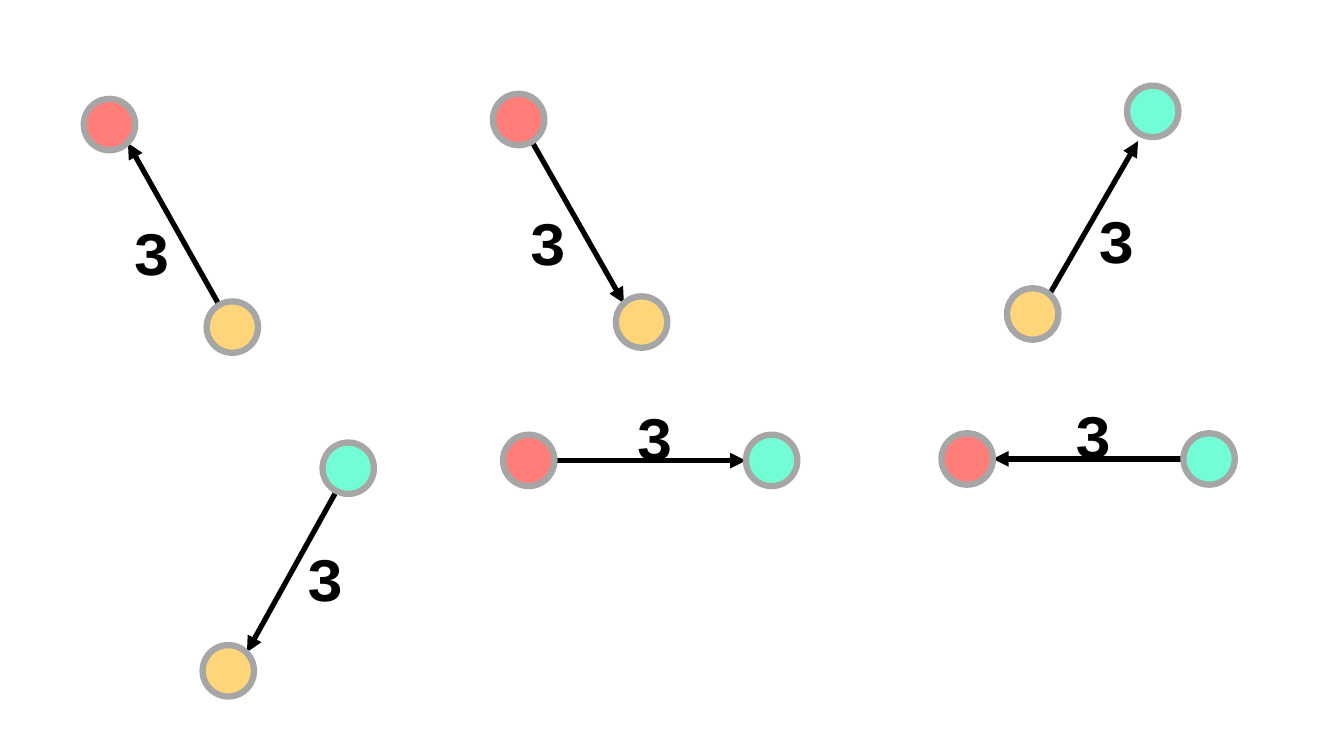
from pptx import Presentation
from pptx.dml.color import RGBColor
from pptx.enum.shapes import MSO_CONNECTOR, MSO_SHAPE
from pptx.enum.text import MSO_AUTO_SIZE
from pptx.oxml.ns import qn
from pptx.util import Pt
from lxml.etree import SubElement

COLORS = {
    "red": "FF7E79",
    "yellow": "FFD579",
    "green": "73FDD6",
    "outline": "A6A6A6",
    "ink": "000000",
}
NODE_SIZE = 36.7

# Each edge: source node, target node, arrow start, arrow end, label corner
EDGES = [
    (("yellow", 147.6, 215.3), ("red", 59.8, 70.6), (165.6, 234), (91.4, 102.2), (87.8, 149)),
    (("red", 352.1, 67), ("yellow", 439.9, 211.7), (370.8, 85), (445.7, 216.7), (370.8, 141.8)),
    (("yellow", 719.3, 205.9), ("green", 805, 61.2), (740.9, 225.4), (812.9, 100.8), (776.9, 140.4)),
    (("green", 230.4, 316.1), ("yellow", 144.7, 460.8), (248.4, 336.2), (176.4, 465.8), (211.7, 382.3)),
    (("red", 359.3, 310.5), ("green", 532.8, 310.5), (396.7, 329), (532.8, 329), (447.1, 281.5)),
    (("green", 845.3, 309.5), ("red", 672.5, 309.5), (864, 327.8), (709.2, 327.8), (760.3, 280.1)),
]


def color(name):
    return RGBColor.from_string(COLORS[name])


def add_arrow(slide, start, end):
    points = [Pt(value) for value in (*start, *end)]
    arrow = slide.shapes.add_connector(MSO_CONNECTOR.STRAIGHT, *points)
    arrow.line.color.rgb = color("ink")
    arrow.line.width = Pt(3.75)
    SubElement(arrow.line._get_or_add_ln(), qn("a:tailEnd"), type="triangle")
    SubElement(arrow._element.spPr, qn("a:effectLst"))


def add_node(group, fill, left, top):
    node = group.shapes.add_shape(
        MSO_SHAPE.OVAL, Pt(left), Pt(top), Pt(NODE_SIZE), Pt(NODE_SIZE))
    node.shadow.inherit = False
    node.fill.solid()
    node.fill.fore_color.rgb = color(fill)
    node.line.color.rgb = color("outline")
    node.line.width = Pt(4.5)


def add_label(slide, text, left, top):
    label = slide.shapes.add_textbox(Pt(left), Pt(top), Pt(62), Pt(60.5))
    frame = label.text_frame
    frame.word_wrap = True
    frame.auto_size = MSO_AUTO_SIZE.SHAPE_TO_FIT_TEXT
    paragraph = frame.paragraphs[0]
    paragraph.text = text
    paragraph.font.name = "Courier New"
    paragraph.font.size = Pt(44)
    paragraph.font.bold = True
    paragraph.font.color.rgb = color("ink")


def add_edge(slide, source, target, start, end, label_corner):
    """Draw two nodes joined by a weighted arrow, with the nodes on top."""
    add_arrow(slide, start, end)
    nodes = slide.shapes.add_group_shape()
    add_node(nodes, *source)
    add_node(nodes, *target)
    add_label(slide, "3", *label_corner)


def main():
    presentation = Presentation()
    presentation.slide_width = Pt(960)
    presentation.slide_height = Pt(540)
    slide = presentation.slides.add_slide(presentation.slide_layouts[6])
    for edge in EDGES:
        add_edge(slide, *edge)
    presentation.save("out.pptx")


if __name__ == "__main__":
    main()
